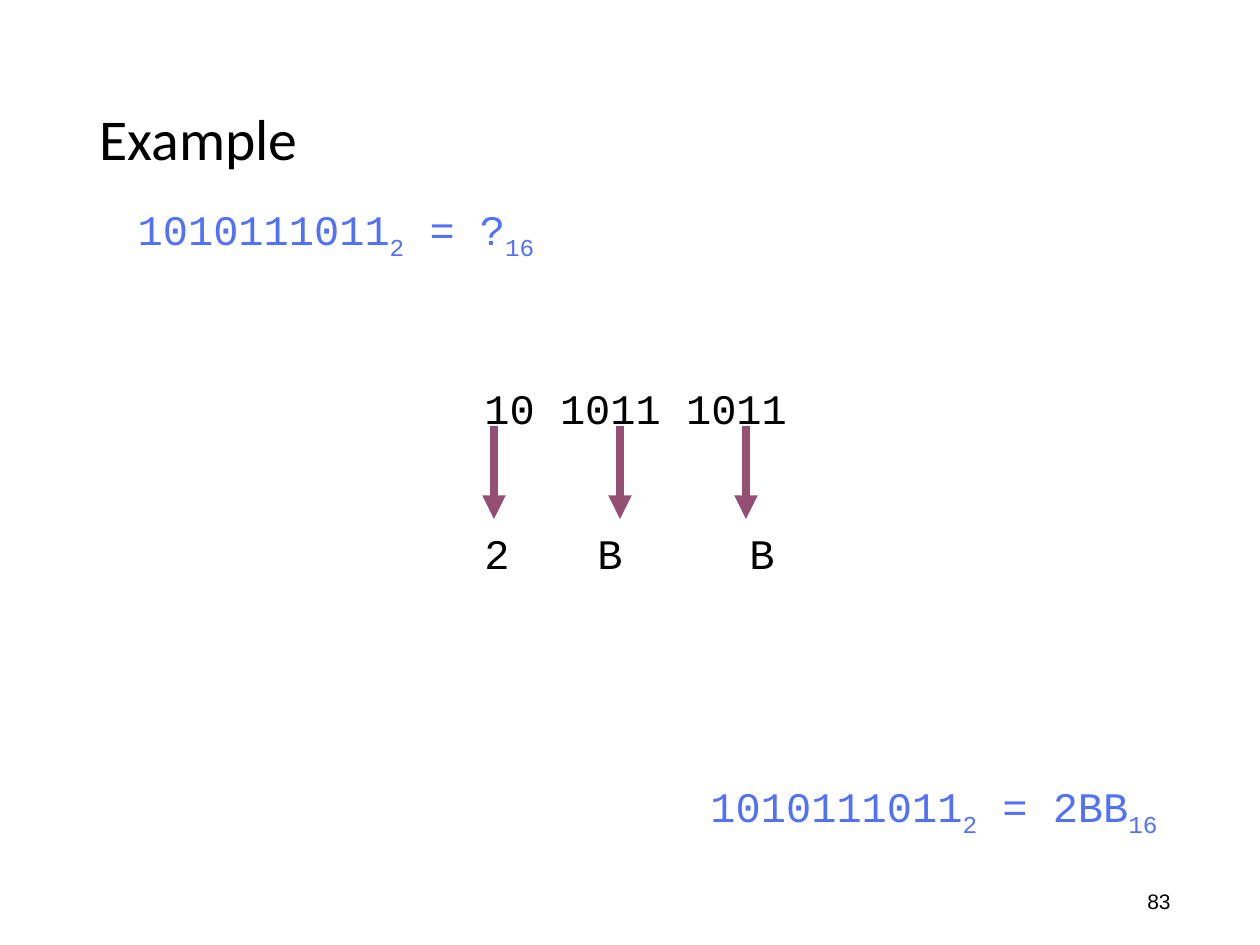
from dataclasses import dataclass
from lxml.etree import SubElement
from pptx import Presentation
from pptx.dml.color import RGBColor
from pptx.enum.shapes import MSO_CONNECTOR
from pptx.enum.text import MSO_ANCHOR, PP_ALIGN
from pptx.oxml.ns import qn
from pptx.util import Pt


@dataclass(frozen=True)
class Theme:
    ink: str = "000000"
    blue: str = "5271FB"
    plum: str = "954F72"
    title_font: str = "Calibri"
    code_font: str = "Courier New"
    number_font: str = "Arial"
    title_size: int = 33
    code_size: int = 24
    number_size: int = 12
    arrow_width: float = 4.5


T = Theme()
TITLE = "Example"
PAGE = "83"
EQUATIONS = [
    ((42, 189), [("1010111011", False), ("2", True), (" = ?", False), ("16", True)]),
    ((640, 766), [("1010111011", False), ("2", True), (" = 2BB", False), ("16", True)]),
]
BIT_GROUPS = ["10", "1011", "1011"]
HEX_DIGITS = ["2", "B", "B"]
HEX_TABS = [113, 265]
ARROW_X, ARROW_GAP, ARROW_TOP, ARROW_BOTTOM = 494, 126, 426, 519


def px(n):
    return round(n * 914400 / 126)


def add_box(slide, x, y, w, h, top=6, wrap=True):
    tf = slide.shapes.add_textbox(px(x), px(y), px(w), px(h)).text_frame
    tf.word_wrap = wrap
    tf.margin_top = px(top)
    return tf


def add_run(p, text, font, size, color, sub=False):
    r = p.add_run()
    r.text = text
    r.font.name, r.font.size = font, Pt(size)
    r.font.color.rgb = RGBColor.from_string(color)
    if sub:
        r.font._element.set("baseline", "-25000")


def add_tabs(p, stops):
    tabs = SubElement(p._p.get_or_add_pPr(), qn("a:tabLst"))
    for stop in stops:
        SubElement(tabs, qn("a:tab"), pos=str(px(stop)), algn="l")


def add_arrow(slide, x, top, bottom):
    line = slide.shapes.add_connector(
        MSO_CONNECTOR.STRAIGHT, px(x), px(top), px(x), px(bottom))
    line.line.color.rgb = RGBColor.from_string(T.plum)
    line.line.width = Pt(T.arrow_width)
    SubElement(line.line._get_or_add_ln(), qn("a:tailEnd"), type="triangle")
    SubElement(line._element.spPr, qn("a:effectLst"))


def main():
    prs = Presentation()
    prs.slide_width, prs.slide_height = px(1260), px(945)
    slide = prs.slides.add_slide(prs.slide_layouts[6])

    tf = add_box(slide, 1135, 883, 50, 38, wrap=False)
    add_run(tf.paragraphs[0], PAGE, T.number_font, T.number_size, T.ink)

    tf = add_box(slide, 87, 50, 1086, 183)
    tf.vertical_anchor = MSO_ANCHOR.MIDDLE
    tf.paragraphs[0].line_spacing = 0.9
    add_run(tf.paragraphs[0], TITLE, T.title_font, T.title_size, T.ink)

    for (x, y), parts in EQUATIONS:
        p = add_box(slide, x, y, 588, 63, top=15).paragraphs[0]
        p.alignment = PP_ALIGN.CENTER
        for text, sub in parts:
            add_run(p, text, T.code_font, T.code_size, T.blue, sub)

    tf = add_box(slide, 472, 368, 588, 214, top=15)
    add_run(tf.paragraphs[0], " ".join(BIT_GROUPS), T.code_font, T.code_size, T.ink)
    p = tf.add_paragraph()
    p.space_before = Pt(54)
    add_tabs(p, HEX_TABS)
    add_run(p, "\t".join(HEX_DIGITS), T.code_font, T.code_size, T.ink)

    for i in range(len(HEX_DIGITS)):
        add_arrow(slide, ARROW_X + i * ARROW_GAP, ARROW_TOP, ARROW_BOTTOM)

    prs.save("out.pptx")


if __name__ == "__main__":
    main()
